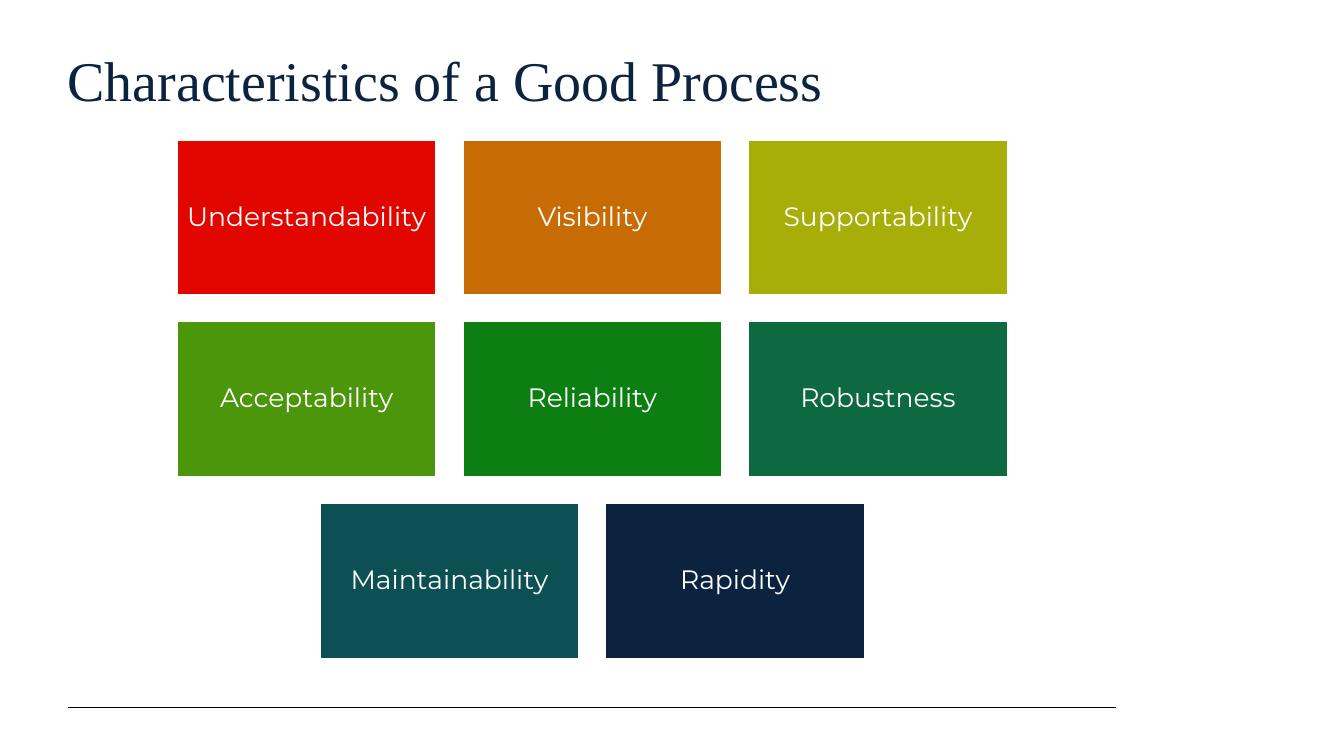
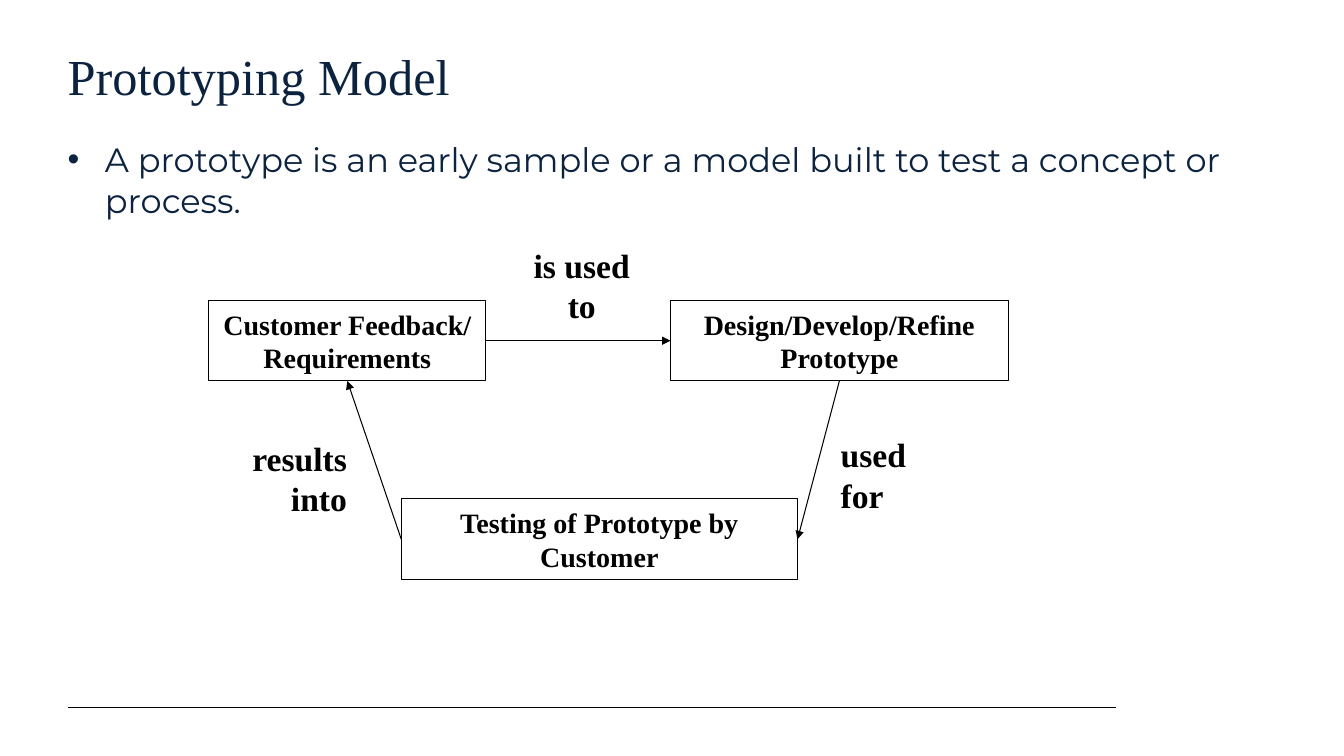
from lxml.etree import SubElement
from pptx import Presentation
from pptx.dml.color import RGBColor
from pptx.enum.shapes import MSO_CONNECTOR, MSO_SHAPE
from pptx.enum.text import MSO_ANCHOR, MSO_AUTO_SIZE, PP_ALIGN
from pptx.oxml.ns import qn
from pptx.util import Inches, Pt

NAVY, BLACK, WHITE = "0C2340", "000000", "FFFFFF"
SERIF, SANS = "Times New Roman", "Montserrat"
LEFT, TITLE_TOP, BODY_TOP = 0.67, 0.45, 1.38
CONTENT_WIDTH = 10.4
TOP, SIDE_LEFT, BOTTOM, SIDE_RIGHT = range(4)  # connection sites of a rectangle


def colour(hex_string):
    return RGBColor.from_string(hex_string)


def write_text(shape, text, *, size, font, color=BLACK, bold=False, align=PP_ALIGN.LEFT,
               anchor=MSO_ANCHOR.TOP, insets=(0.1, 0.05, 0.1, 0.05), spacing=None, bullet=None):
    """Fill a shape with text, one paragraph for each line; bullet is the hanging indent."""
    frame = shape.text_frame
    frame.word_wrap = True
    frame.auto_size = MSO_AUTO_SIZE.NONE
    frame.vertical_anchor = anchor
    (frame.margin_left, frame.margin_top,
     frame.margin_right, frame.margin_bottom) = map(Inches, insets)
    frame.text = text
    for para in frame.paragraphs:
        para.alignment = align
        para.space_before = Pt(0)
        if spacing:
            para.line_spacing = spacing
        if bullet:
            properties = para._p.get_or_add_pPr()
            properties.set("marL", str(Inches(bullet)))
            properties.set("indent", str(-Inches(bullet)))
            SubElement(properties, qn("a:buFont")).set("typeface", "Arial")
            SubElement(properties, qn("a:buChar")).set("char", "•")
        for span in para.runs:
            span.font.size = Pt(size)
            span.font.name = font
            span.font.bold = bold
            span.font.color.rgb = colour(color)


def place(shape, left, top, width, height):
    shape.left, shape.top = Inches(left), Inches(top)
    shape.width, shape.height = Inches(width), Inches(height)


def add_box(page, at, text, *, fill=WHITE, line=None, line_width=0.75, **text_format):
    box = page.shapes.add_shape(MSO_SHAPE.RECTANGLE, *map(Inches, at))
    box.shadow.inherit = False
    box.fill.solid()
    box.fill.fore_color.rgb = colour(fill)
    if line:
        box.line.color.rgb = colour(line)
        box.line.width = Pt(line_width)
    else:
        box.line.fill.background()
    write_text(box, text, **text_format)
    return box


def add_line(page, start=(0, 0), end=(0, 0), arrow=False):
    line = page.shapes.add_connector(MSO_CONNECTOR.STRAIGHT, *map(Inches, (*start, *end)))
    line.line.color.rgb = colour(BLACK)
    line.line.width = Pt(0.75)
    if arrow:
        SubElement(line.line._get_or_add_ln(), qn("a:tailEnd")).set("type", "triangle")
    SubElement(line._element.spPr, qn("a:effectLst"))
    return line


def add_page(deck, layout, title, title_size):
    """Start a slide with the shared title and footer rule."""
    page = deck.slides.add_slide(deck.slide_layouts.get_by_name(layout))
    place(page.shapes.title, LEFT, TITLE_TOP, CONTENT_WIDTH, 0.93)
    write_text(page.shapes.title, title, size=title_size, font=SERIF, color=NAVY,
               insets=(0, 0, 0.1, 0.05))
    add_line(page, (LEFT, 7.02), (LEFT + CONTENT_WIDTH, 7.02))
    return page


def add_tiles(page, tiles, left, top, width, height, columns=3, rows=3, gap=0.25):
    """Lay out coloured tiles in a grid, with the last row centred."""
    tile_width = (width - gap * (columns - 1)) / columns
    tile_height = (height - gap * (rows - 1)) / rows
    for index, (text, fill) in enumerate(tiles):
        row, column = divmod(index, columns)
        missing = columns - min(columns, len(tiles) - row * columns)
        x = left + (column + missing / 2) * (tile_width + gap)
        y = top + row * (tile_height + gap)
        add_box(page, (x, y, tile_width, tile_height), text, fill=fill, line=WHITE,
                line_width=2, size=19, font=SANS, color=WHITE, align=PP_ALIGN.CENTER,
                anchor=MSO_ANCHOR.MIDDLE, insets=(0.08,) * 4, spacing=0.9)


def add_cycle(page, left, top):
    """Draw the three steps, the arrows between them and the arrow labels."""
    def step(x, y, width, text):
        return add_box(page, (left + x, top + y, width, 0.8), text, line=BLACK, size=20,
                       font=SERIF, bold=True, align=PP_ALIGN.CENTER, anchor=MSO_ANCHOR.MIDDLE)

    feedback = step(0.14, 0.6, 2.75, "Customer Feedback/\nRequirements")
    design = step(4.72, 0.6, 3.35, "Design/Develop/Refine Prototype")
    testing = step(2.05, 2.57, 3.93, "Testing of Prototype by Customer")

    # Arrows
    for source, source_site, target, target_site in (
            (feedback, SIDE_RIGHT, design, SIDE_LEFT),
            (design, BOTTOM, testing, SIDE_RIGHT),
            (testing, SIDE_LEFT, feedback, BOTTOM)):
        arrow = add_line(page, arrow=True)
        arrow.begin_connect(source, source_site)
        arrow.end_connect(target, target_site)

    # Arrow labels
    for x, y, width, height, text, align in (
            (3.15, 0, 1.38, 0.94, "is used to", PP_ALIGN.CENTER),
            (6.31, 1.88, 1.18, 0.85, "used for", PP_ALIGN.LEFT),
            (0, 1.91, 1.61, 0.85, "results into", PP_ALIGN.RIGHT)):
        add_box(page, (left + x, top + y, width, height), text, size=24, font=SERIF,
                bold=True, align=align)


def characteristics_page(deck):
    page = add_page(deck, "Title Only", "Characteristics of a Good Process", 40)
    tiles = [("Understandability", "E10600"), ("Visibility", "C76C05"),
             ("Supportability", "A8AE08"), ("Acceptability", "4B960B"),
             ("Reliability", "0D7F12"), ("Robustness", "0D6940"),
             ("Maintainability", "0D5054"), ("Rapidity", NAVY)]
    add_tiles(page, tiles, 1.75, BODY_TOP, 8.25, 5.16)


def prototyping_page(deck):
    page = add_page(deck, "Title and Content", "Prototyping Model", 36)
    body = page.placeholders[1]
    place(body, LEFT, BODY_TOP, 12.07, 3.37)
    write_text(body, "A prototype is an early sample or a model built to test a concept or process.",
               size=24, font=SANS, color=NAVY, insets=(0, 0, 0.1, 0.05), bullet=0.37)
    add_cycle(page, 1.93, 2.38)


def main():
    deck = Presentation()
    deck.slide_width, deck.slide_height = Inches(13.33), Inches(7.5)
    characteristics_page(deck)
    prototyping_page(deck)
    deck.save("out.pptx")


if __name__ == "__main__":
    main()
